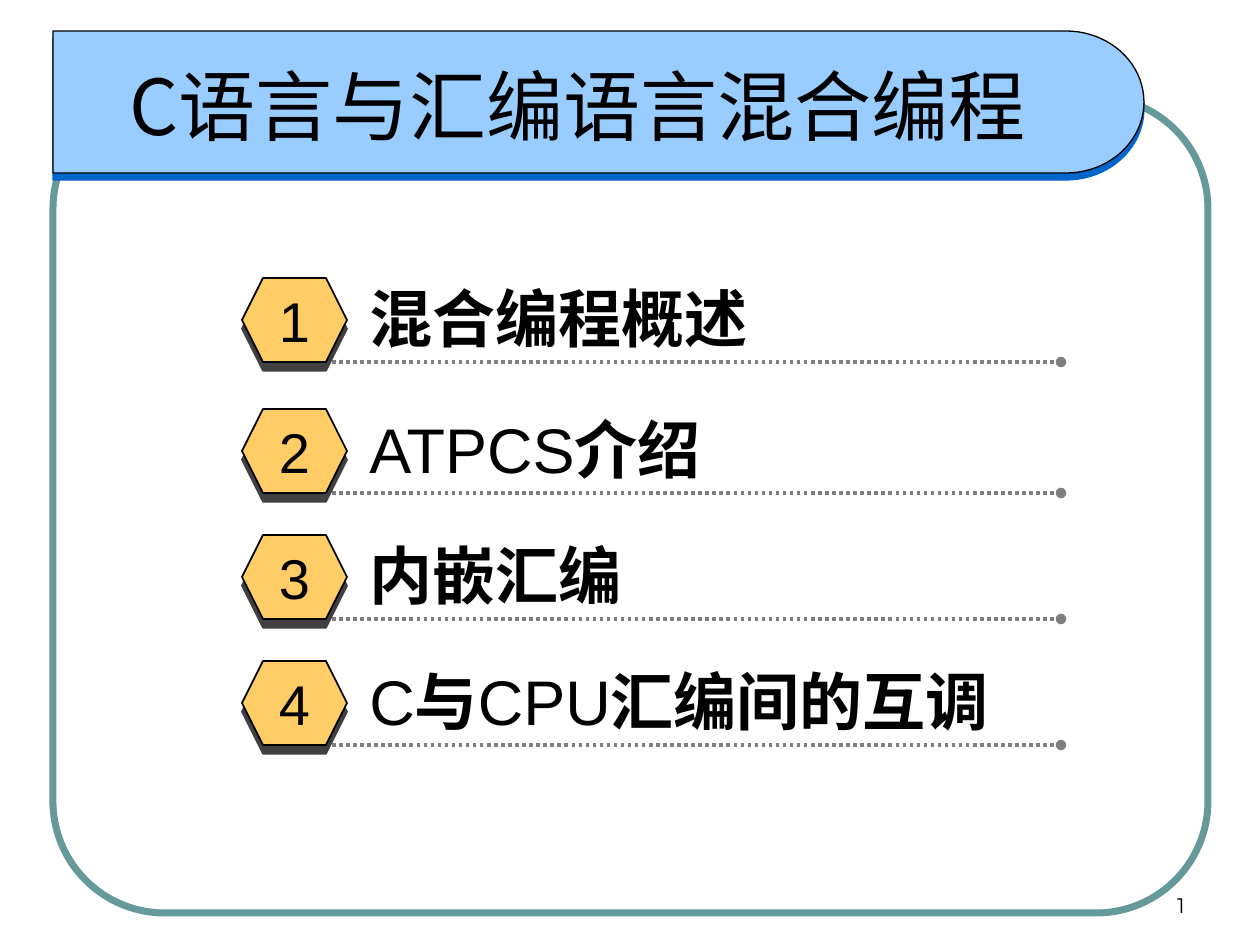
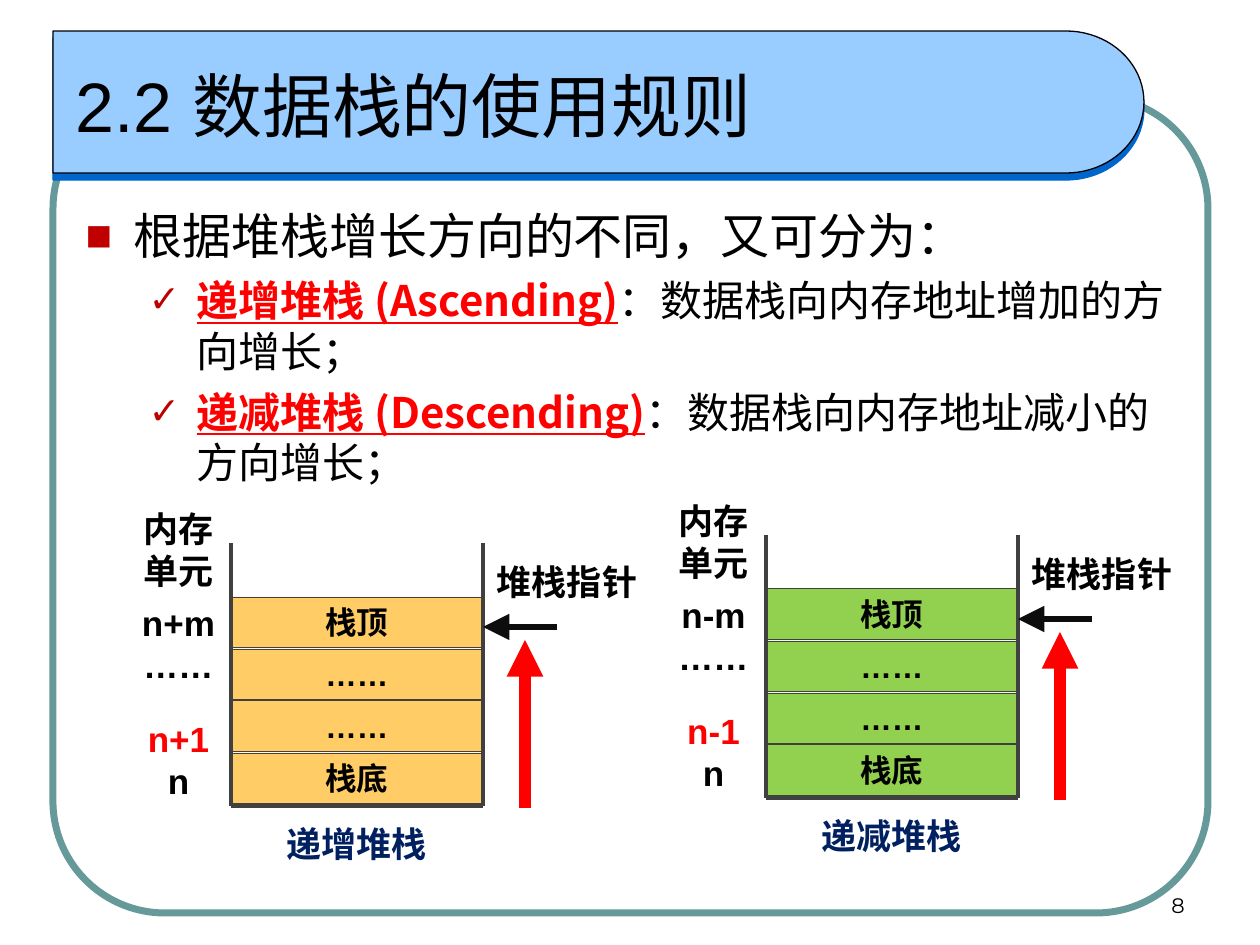
import math
from dataclasses import dataclass

import lxml.etree
import pptx
import pptx.dml.color
import pptx.enum.dml
import pptx.enum.shapes
import pptx.enum.text
import pptx.oxml.ns
import pptx.util

PX = 914400 / 126
SHAPE = pptx.enum.shapes.MSO_SHAPE
ALIGN = pptx.enum.text.PP_ALIGN
ANCHOR = pptx.enum.text.MSO_ANCHOR


@dataclass(frozen=True)
class Theme:
    black: str = "000000"
    frame: str = "669999"
    band: str = "99CCFF"
    band_shadow: str = "0066CC"
    amber: str = "FFCC66"
    green: str = "92D050"
    dark: str = "404040"
    dots: str = "7F7F7F"
    pointer: str = "0D0D0D"
    red: str = "FF0000"
    bullet: str = "C00000"
    caption: str = "002060"
    latin: str = "Arial"
    chinese: str = "Noto Sans CJK SC"
    number_font: str = "Montserrat"
    cover_title: int = 44
    title: int = 40
    agenda: int = 36
    badge: int = 32
    body: int = 28
    detail: int = 24
    label: int = 20
    cell: int = 18
    number: int = 12


def emu(*lengths):
    return [pptx.util.Emu(round(length * PX)) for length in lengths]


def rgb(color):
    return pptx.dml.color.RGBColor.from_string(color)


def add_xml(parent, tag, **attributes):
    return lxml.etree.SubElement(parent, pptx.oxml.ns.qn(tag), attributes)


def write(para, text, size, font=Theme.latin, color=Theme.black, bold=False, underline=False):
    span = para.add_run()
    span.text = text
    span.font.size = pptx.util.Pt(size)
    span.font.name = font
    span.font.bold = bold
    span.font.underline = underline
    span.font.color.rgb = rgb(color)
    add_xml(span.font._element, "a:ea", typeface=Theme.chinese)


class SlideWriter:
    def __init__(self, deck, theme):
        self.deck = deck
        self.theme = theme
        self.slide = None

    def start(self, layout, title, number, size, font, align):
        self.slide = self.deck.slides.add_slide(self.deck.slide_layouts[layout])
        theme = self.theme
        frame = self.shape(SHAPE.ROUNDED_RECTANGLE, 53, 97, 1155, 816, None, theme.frame, 4)
        frame.adjustments[0] = 0.137
        self.band()
        heading = self.placeholder(self.slide.shapes.title, 63, 31, 1029, 147, ANCHOR.MIDDLE)
        para = heading.paragraphs[0]
        para.alignment = align
        write(para, title, size, font)
        self.text(str(number), 903, 861, 294, 63, align=ALIGN.RIGHT, anchor=ANCHOR.BOTTOM,
                  size=theme.number, font=theme.number_font)

    def band(self):
        """Title band whose right end is half an ellipse."""
        left, top, straight, radius_x, radius_y = 53, 31, 1066, 78, 71
        steps = 40
        angles = [math.pi * (step / steps - 0.5) for step in range(steps + 1)]
        curve = [emu(straight + radius_x * math.cos(angle), top + radius_y * (1 + math.sin(angle)))
                 for angle in angles]
        builder = self.slide.shapes.build_freeform(*emu(left, top))
        builder.add_line_segments(curve + [emu(left, top + 2 * radius_y)], close=True)
        band = builder.convert_to_shape()
        self.paint(band, self.theme.band, self.theme.black, 0.75)
        self.drop_shadow(band, self.theme.band_shadow, 4)

    def placeholder(self, holder, left, top, width, height, anchor):
        """Move a placeholder to the front and return its text frame."""
        holder.left, holder.top, holder.width, holder.height = emu(left, top, width, height)
        self.slide.shapes._spTree.append(holder._element)
        frame = holder.text_frame
        frame.auto_size = pptx.enum.text.MSO_AUTO_SIZE.NONE
        frame.vertical_anchor = anchor
        return frame

    def paint(self, shape, fill, line, width):
        shape.shadow.inherit = False
        if fill:
            shape.fill.solid()
            shape.fill.fore_color.rgb = rgb(fill)
        else:
            shape.fill.background()
        shape.line.color.rgb = rgb(line)
        shape.line.width = pptx.util.Pt(width)

    def drop_shadow(self, shape, color, distance):
        effects = shape._element.spPr.find(pptx.oxml.ns.qn("a:effectLst"))
        shadow = add_xml(effects, "a:outerShdw", dist=str(pptx.util.Pt(distance)),
                         dir="5400000", algn="ctr", rotWithShape="0")
        add_xml(shadow, "a:srgbClr", val=color)

    def shape(self, kind, left, top, width, height, fill, line, line_width):
        shape = self.slide.shapes.add_shape(kind, *emu(left, top, width, height))
        self.paint(shape, fill, line, line_width)
        return shape

    def text(self, text, left, top, width, height, align=ALIGN.CENTER, anchor=ANCHOR.TOP, **style):
        box = self.slide.shapes.add_textbox(*emu(left, top, width, height))
        self.fill_text(box.text_frame, text, align, anchor, **style)
        return box

    def fill_text(self, frame, text, align, anchor, **style):
        frame.word_wrap = True
        frame.vertical_anchor = anchor
        for index, words in enumerate(text.split("\n")):
            para = frame.add_paragraph() if index else frame.paragraphs[0]
            para.alignment = align
            if words:
                write(para, words, **style)

    def line(self, x1, y1, x2, y2, color, width, tail=None, tail_size="med", dash=None):
        line = self.slide.shapes.add_connector(
            pptx.enum.shapes.MSO_CONNECTOR.STRAIGHT, *emu(x1, y1, x2, y2))
        line.line.color.rgb = rgb(color)
        line.line.width = pptx.util.Pt(width)
        if dash:
            line.line.dash_style = dash
        if tail:
            add_xml(line.line._ln, "a:tailEnd", type=tail, w=tail_size, len=tail_size)
        add_xml(line._element.spPr, "a:effectLst")

    def bullet(self, para, mark, indent, space_before):
        hanging = 48
        properties = para._p.get_or_add_pPr()
        properties.set("marL", str(emu(indent)[0]))
        properties.set("indent", str(emu(-hanging)[0]))
        color = add_xml(properties, "a:buClr")
        add_xml(color, "a:srgbClr", val=self.theme.bullet)
        add_xml(properties, "a:buSzPct", val="90000")
        add_xml(properties, "a:buFont", typeface=self.theme.latin)
        add_xml(properties, "a:buChar", char=mark)
        para.space_before = pptx.util.Pt(space_before)

    def agenda_item(self, number, top, spans):
        theme = self.theme
        self.line(325, top + 84, 1061, top + 84, theme.dots, 2, "oval",
                  dash=pptx.enum.dml.MSO_LINE.ROUND_DOT)
        badge = self.shape(SHAPE.HEXAGON, 242, top, 105, 84, theme.amber, theme.black, 1)
        self.drop_shadow(badge, theme.dark, 5)
        badge.text_frame.margin_left = badge.text_frame.margin_right = 0
        self.fill_text(badge.text_frame, str(number), ALIGN.CENTER, ANCHOR.MIDDLE, size=theme.badge)
        box = self.text("", 357, top - 5, 714, 88, align=ALIGN.LEFT)
        for words, font, bold in spans:
            write(box.text_frame.paragraphs[0], words, theme.agenda, font, bold=bold)

    def stack(self, left, top, sign, fill, caption):
        """Memory stack with addresses, cells, walls and growth arrow."""
        theme = self.theme
        wall_left, wall_right, floor = left + 105, left + 357, top + 305
        for row, words in enumerate(["栈顶", "……", "……", "栈底"]):
            cell = self.shape(SHAPE.RECTANGLE, wall_left, top + 96 + 52 * row, 252, 51,
                              fill, theme.dark, 0.5)
            self.fill_text(cell.text_frame, words, ALIGN.CENTER, ANCHOR.TOP,
                           size=theme.cell, bold=True)
        for x in (wall_left, wall_right):
            self.line(x, floor, x, top + 42, theme.dark, 2.25)
        self.line(wall_left, floor, wall_right, floor, theme.dark, 2.25)
        self.line(left + 431, top + 126, wall_right, top + 126, theme.pointer, 3, "triangle", "lg")
        self.line(left + 399, top + 307, left + 399, top + 139, theme.red, 7, "triangle")
        labels = [
            (caption, 105, 315, 252, theme.caption),
            ("堆栈指针", 357, 53, 168, theme.black),
            ("内存\n单元", 0, 0, 105, theme.black),
            (f"n{sign}m", 0, 94, 105, theme.black),
            ("……", 0, 136, 105, theme.black),
            (f"n{sign}1", 0, 210, 105, theme.red),
            ("n", 0, 252, 105, theme.black),
        ]
        for words, x, y, width, color in labels:
            height = 55 + 42 * words.count("\n")
            self.text(words, left + x, top + y, width, height,
                      size=theme.label, color=color, bold=True)


def build_agenda(writer):
    theme = writer.theme
    writer.start(5, "C语言与汇编语言混合编程", 1, theme.cover_title, theme.chinese, ALIGN.CENTER)
    latin, chinese = theme.latin, theme.chinese
    items = [
        (278, [("混合编程概述", chinese, True)]),
        (409, [("ATPCS", latin, False), ("介绍", chinese, True)]),
        (535, [("内嵌汇编", chinese, True)]),
        (661, [("C", latin, False), ("与", latin, True), ("CPU", latin, False),
               ("汇编间的互调", chinese, True)]),
    ]
    for number, (top, spans) in enumerate(items, 1):
        writer.agenda_item(number, top, spans)


def build_stack_rules(writer):
    theme = writer.theme
    writer.start(1, "2.2 数据栈的使用规则", 8, theme.title, theme.latin, ALIGN.LEFT)
    frame = writer.placeholder(writer.slide.placeholders[1], 73, 199, 1126, 294, ANCHOR.TOP)
    para = frame.paragraphs[0]
    writer.bullet(para, "■", 48, 0)
    write(para, "根据堆栈增长方向的不同，又可分为：", theme.body, theme.chinese)
    details = [
        ("递增堆栈 (Ascending)", "：数据栈向内存地址增加的方向增长；"),
        ("递减堆栈 (Descending)", "：数据栈向内存地址减小的方向增长；"),
    ]
    for term, meaning in details:
        para = frame.add_paragraph()
        para.level = 1
        writer.bullet(para, "✓", 111, 6)
        write(para, term, theme.detail, theme.chinese, theme.red, bold=True, underline=True)
        write(para, meaning, theme.detail, theme.chinese)
    writer.stack(126, 501, "+", theme.amber, "递增堆栈")
    writer.stack(661, 493, "-", theme.green, "递减堆栈")


def main():
    deck = pptx.Presentation()
    deck.slide_width, deck.slide_height = emu(1260, 945)
    writer = SlideWriter(deck, Theme())
    build_agenda(writer)
    build_stack_rules(writer)
    deck.save("out.pptx")


if __name__ == "__main__":
    main()
